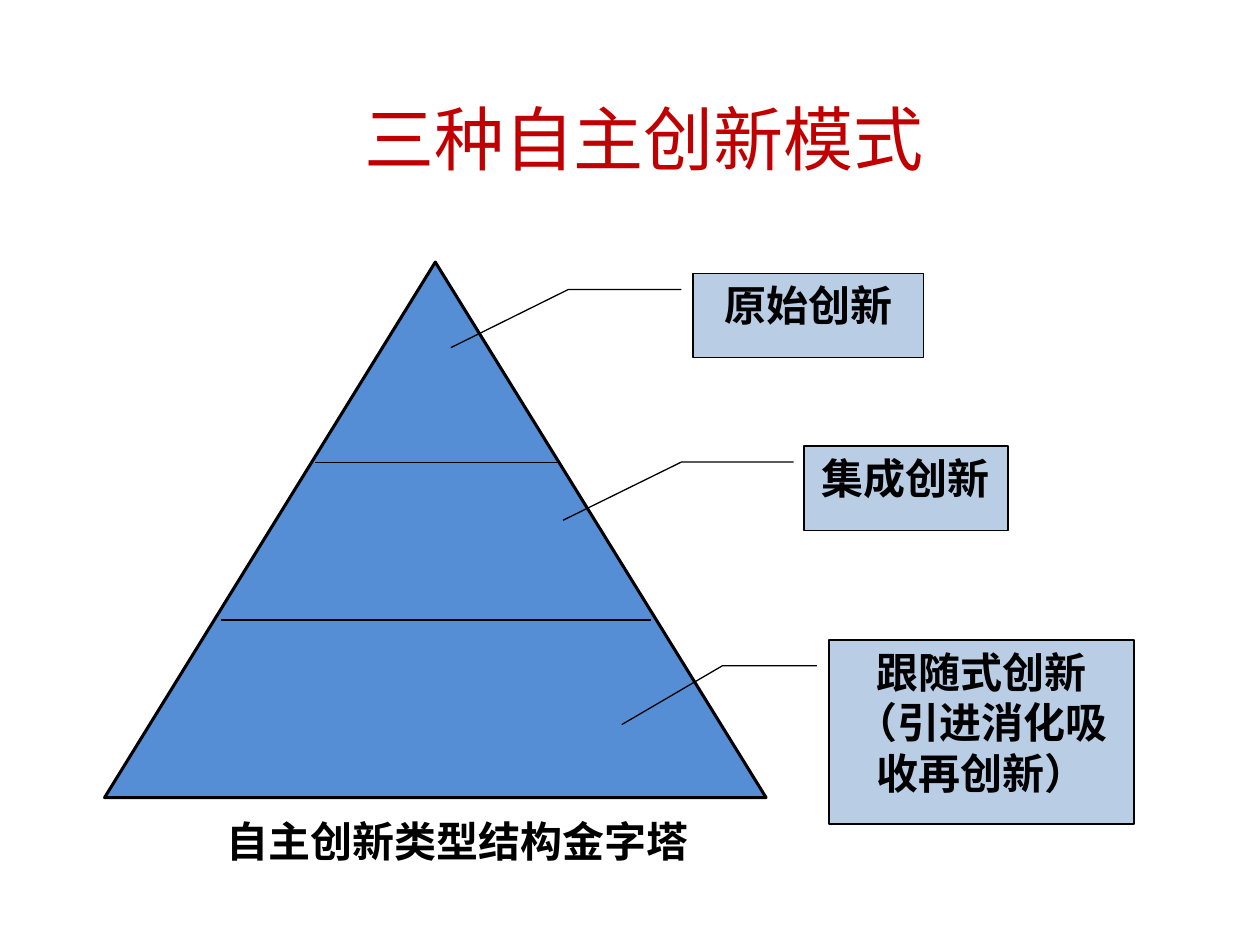
import pptx
import pptx.dml.color
import pptx.enum.shapes
import pptx.enum.text
import pptx.oxml.ns
import pptx.util
from lxml import etree

Inches = pptx.util.Inches
Pt = pptx.util.Pt
RGBColor = pptx.dml.color.RGBColor
SHAPE = pptx.enum.shapes.MSO_SHAPE
ANCHOR = pptx.enum.text.MSO_ANCHOR
qn = pptx.oxml.ns.qn

BLACK = RGBColor(0x00, 0x00, 0x00)
RED = RGBColor(0xC0, 0x00, 0x00)
BLUE = RGBColor(0x55, 0x8E, 0xD5)
PALE = RGBColor(0xB9, 0xCD, 0xE5)

BODY = "Noto Sans CJK SC"
HEAD = "Noto Sans CJK JP"

CALLOUTS = [
    ("集成创新", (6.38, 3.54, 1.62, 0.67),
     (0.19, -0.05, 0.19, -0.6, 0.88, -1.18)),
    ("跟随式创新（引进消化吸收再创新）", (6.58, 5.08, 2.42, 1.46),
     (0.14, -0.04, 0.14, -0.35, 0.46, -0.68)),
    ("原始创新", (5.5, 2.17, 1.83, 0.67),
     (0.19, -0.05, 0.19, -0.54, 0.88, -1.05)),
]
LEVELS = [(1.75, 5.17, 4.92), (2.5, 4.42, 3.67)]


def write(shape, text, size=24, font=BODY, color=BLACK, bold=True,
          anchor=ANCHOR.TOP, spacing=None):
    """Fill a shape with one centred paragraph of formatted text."""
    frame = shape.text_frame
    frame.word_wrap = True
    frame.vertical_anchor = anchor
    para = frame.paragraphs[0]
    para.alignment = pptx.enum.text.PP_ALIGN.CENTER
    para.line_spacing = spacing
    run = para.add_run()
    run.text = text
    run.font.size = Pt(size)
    run.font.bold = bold
    run.font.color.rgb = color
    run.font.name = font
    props = run._r.get_or_add_rPr()
    props.set("lang", "zh-CN")
    etree.SubElement(props, qn("a:ea")).set("typeface", font)


def block(slide, kind, box, fill, width):
    """Add a filled preset shape with a black outline."""
    shape = slide.shapes.add_shape(kind, *map(Inches, box))
    shape.shadow.inherit = False
    shape.fill.solid()
    shape.fill.fore_color.rgb = fill
    shape.line.color.rgb = BLACK
    shape.line.width = Pt(width)
    return shape


def level(slide, left, right, y):
    """Draw a horizontal line that divides the pyramid."""
    line = slide.shapes.add_connector(
        pptx.enum.shapes.MSO_CONNECTOR.STRAIGHT,
        Inches(left), Inches(y), Inches(right), Inches(y))
    line.line.color.rgb = BLACK
    line.line.width = Pt(0.75)
    etree.SubElement(line._element.spPr, qn("a:effectLst"))


def callout(slide, text, box, bends):
    """Add a labelled box whose leader points into the pyramid."""
    shape = block(slide, SHAPE.LINE_CALLOUT_2, box, PALE, 0.75)
    for index, bend in enumerate(bends):
        shape.adjustments[index] = bend
    write(shape, text)


def title(slide, text):
    """Place and format the slide title."""
    shape = slide.shapes.title
    shape.left, shape.top = Inches(1.39), Inches(0.78)
    shape.width, shape.height = Inches(7.44), Inches(0.71)
    write(shape, text, size=40, font=HEAD, color=RED, bold=False,
          anchor=ANCHOR.MIDDLE, spacing=0.9)


def caption(slide, text):
    """Add the caption under the pyramid."""
    box = slide.shapes.add_textbox(
        Inches(0.92), Inches(6.42), Inches(5.42), Inches(0.5))
    write(box, text)


def main():
    """Build the slide and save it."""
    deck = pptx.Presentation()
    deck.slide_width, deck.slide_height = Inches(10), Inches(7.5)
    slide = deck.slides.add_slide(deck.slide_layouts[5])
    title(slide, "三种自主创新模式")
    block(slide, SHAPE.ISOSCELES_TRIANGLE, (0.83, 2.08, 5.25, 4.25),
          BLUE, 1.75)
    for left, right, y in LEVELS:
        level(slide, left, right, y)
    for text, box, bends in CALLOUTS:
        callout(slide, text, box, bends)
    caption(slide, "自主创新类型结构金字塔")
    deck.save("out.pptx")


if __name__ == "__main__":
    main()
